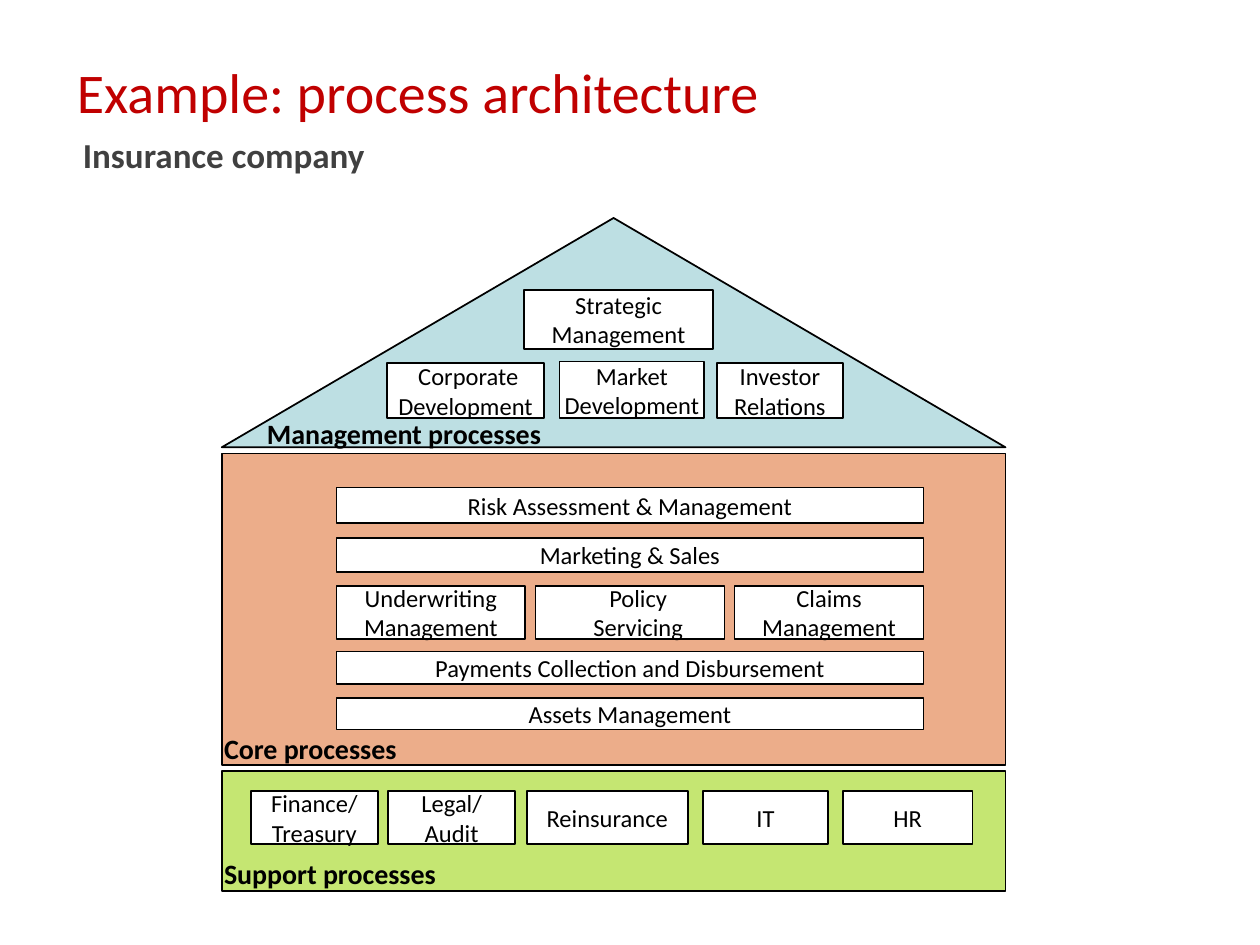
from lxml import etree
from pptx import Presentation
from pptx.dml.color import RGBColor
from pptx.enum import shapes, text
from pptx.oxml.ns import qn
from pptx.util import Inches, Pt

COLORS = {"title": "C00000", "subtitle": "404040", "ink": "000000", "box": "FFFFFF",
          "management": "BDDFE3", "core": "ECAD8A", "support": "C5E672"}
FONT = "Calibri"
HOUSE_LEFT, HOUSE_WIDTH = 1.76, 6.22
CORE_LEFT, CORE_WIDTH = 2.67, 4.66


def color(name):
    """Return the named colour."""
    return RGBColor.from_string(COLORS[name])


def write(frame, words, size=14, ink="ink", bold=False, align=text.PP_ALIGN.LEFT):
    """Fill a text frame; a newline starts a paragraph, a vertical tab breaks a line."""
    frame.text = words
    for para in frame.paragraphs:
        para.alignment = align
        for span in para.runs:
            span.font.name = FONT
            span.font.size = Pt(size)
            span.font.bold = bold
            span.font.color.rgb = color(ink)
        for line_break in para._p.findall(qn("a:br")):
            etree.SubElement(line_break, qn("a:rPr"), sz=str(size * 100))


def add_block(page, left, top, width, height, fill, kind=shapes.MSO_SHAPE.RECTANGLE):
    """Add a filled shape with a thin black outline."""
    block = page.shapes.add_shape(kind, Inches(left), Inches(top),
                                  Inches(width), Inches(height))
    block.shadow.inherit = False
    block.fill.solid()
    block.fill.fore_color.rgb = color(fill)
    block.line.color.rgb = color("ink")
    block.line.width = Pt(1)
    return block


def add_process(page, words, left, top, width, height, shift=0):
    """Add a white process box, its text moved right by half of shift."""
    frame = add_block(page, left, top, width, height, "box").text_frame
    frame.word_wrap = False
    frame.vertical_anchor = text.MSO_ANCHOR.MIDDLE
    frame.margin_left = Inches(0.1 + shift)
    write(frame, words, align=text.PP_ALIGN.CENTER)


def add_label(page, words, left, top, width, height=0.37, **style):
    """Add a bold, unwrapped text label."""
    box = page.shapes.add_textbox(Inches(left), Inches(top), Inches(width), Inches(height))
    box.text_frame.word_wrap = False
    box.text_frame.auto_size = text.MSO_AUTO_SIZE.SHAPE_TO_FIT_TEXT
    write(box.text_frame, words, bold=True, **style)


def add_title(page, words):
    """Place and format the title."""
    title = page.shapes.title
    title.left, title.top, title.width, title.height = map(Inches, (0.51, 0.29, 8.82, 0.87))
    title.text_frame.vertical_anchor = text.MSO_ANCHOR.MIDDLE
    write(title.text_frame, words, size=32, ink="title")


def add_management(page):
    """Draw the roof with the management processes."""
    add_block(page, HOUSE_LEFT, 1.73, HOUSE_WIDTH, 1.82, "management",
              shapes.MSO_SHAPE.ISOSCELES_TRIANGLE)
    for words, left, top, width, height in (
            ("Strategic\vManagement", 4.16, 2.3, 1.5, 0.47),
            (" Corporate\vDevelopment", 3.07, 2.88, 1.25, 0.44),
            ("Investor\vRelations", 5.69, 2.88, 1, 0.44),
            ("Market\vDevelopment", 4.44, 2.87, 1.15, 0.45)):
        add_process(page, words, left, top, width, height)


def add_core(page):
    """Draw the middle floor with the core processes."""
    add_block(page, HOUSE_LEFT, 3.6, HOUSE_WIDTH, 2.47, "core")
    for words, top, height in (
            ("Risk Assessment & Management", 3.87, 0.28),
            ("Marketing & Sales", 4.27, 0.27),
            ("Payments Collection and Disbursement", 5.17, 0.26),
            ("Assets Management", 5.54, 0.25)):
        add_process(page, words, CORE_LEFT, top, CORE_WIDTH, height)
    width = 1.5
    step = (CORE_WIDTH - width) / 2
    for column, (words, shift) in enumerate((("Underwriting\nManagement", 0),
                                             ("Policy\vServicing", 0.13),
                                             ("Claims\vManagement", 0))):
        add_process(page, words, CORE_LEFT + column * step, 4.65, width, 0.42, shift)


def add_support(page):
    """Draw the ground floor with the support processes."""
    add_block(page, HOUSE_LEFT, 6.12, HOUSE_WIDTH, 0.95, "support")
    for words, left, width in (("Finance/\nTreasury", 1.99, 1.01),
                               ("Legal/\nAudit", 3.08, 1.01),
                               ("Reinsurance", 4.18, 1.28),
                               ("IT", 5.58, 0.99),
                               ("HR", 6.69, 1.03)):
        add_process(page, words, left, 6.28, width, 0.42)


def main():
    """Build and save the slide."""
    deck = Presentation()
    deck.slide_width, deck.slide_height = Inches(10), Inches(7.5)
    page = deck.slides.add_slide(deck.slide_layouts[5])
    add_title(page, "Example: process architecture")
    add_label(page, "Insurance company", 0.56, 1.01, 2.53, 0.44, size=20, ink="subtitle")
    add_management(page)
    add_core(page)
    add_support(page)
    for words, left, top, width in (("Management processes", 2.02, 3.26, 2.41),
                                    ("Core processes", 1.68, 5.76, 1.59),
                                    ("Support processes", 1.68, 6.75, 1.91)):
        add_label(page, words, left, top, width, size=16)
    deck.save("out.pptx")


main()
